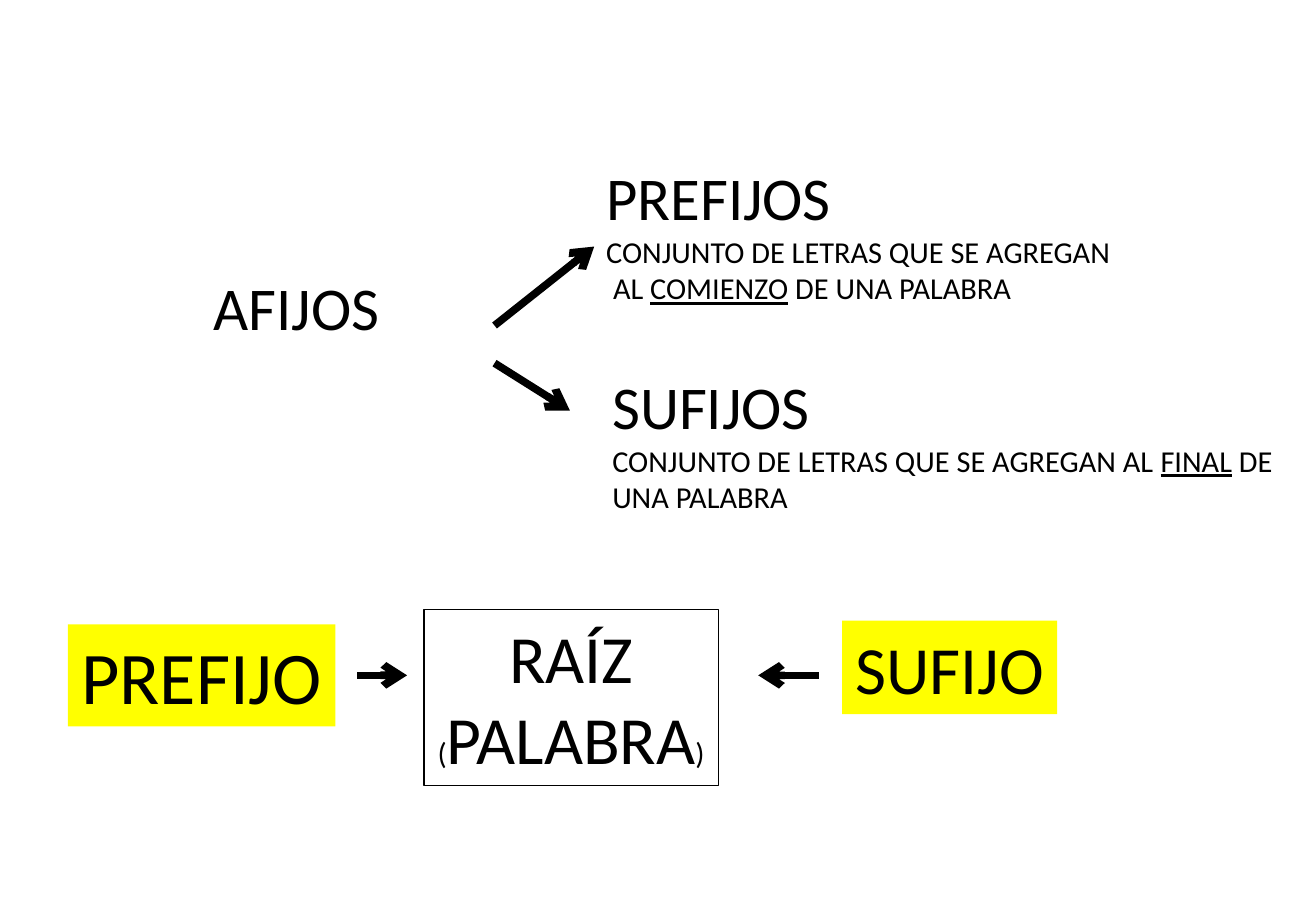
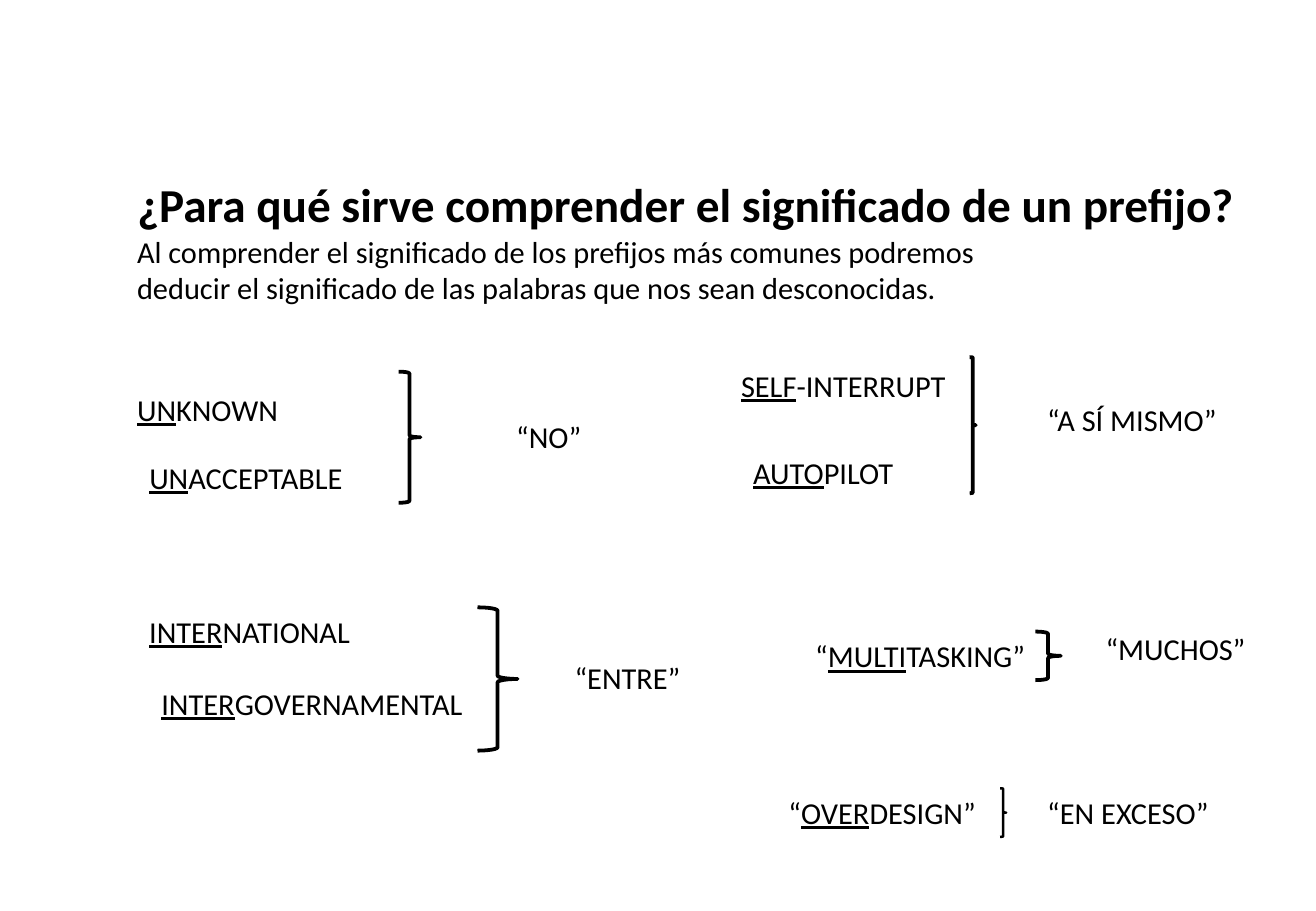
from dataclasses import dataclass

from lxml.etree import SubElement
from pptx import Presentation
from pptx.dml.color import RGBColor
from pptx.enum.shapes import MSO_CONNECTOR as Connector, MSO_SHAPE as Preset
from pptx.enum.text import MSO_ANCHOR as Anchor, MSO_AUTO_SIZE as AutoSize, PP_ALIGN as Align
from pptx.oxml.ns import qn
from pptx.shapes.autoshape import Shape
from pptx.slide import Slide
from pptx.util import Emu, Pt

EMU_PER_PX = 9144
TITLE_ONLY, BLANK = 5, 6


@dataclass(frozen=True)
class Theme:
    font: str = "Calibri"
    ink: RGBColor = RGBColor(0, 0, 0)
    highlight: RGBColor = RGBColor(0xFF, 0xFF, 0)
    affix: int = 44
    root: int = 40
    heading: int = 36
    title: int = 28
    body: int = 18
    arrow: float = 4.5
    brace: float = 2.25
    thin_brace: float = 1.5
    outline: float = 0.75


THEME = Theme()


@dataclass(frozen=True)
class Box:
    left: int
    top: int
    width: int
    height: int = 40

    def emu(self) -> tuple[Emu, ...]:
        return tuple(px(n) for n in (self.left, self.top, self.width, self.height))


@dataclass(frozen=True)
class Span:
    text: str
    size: int
    underlined: bool = False
    bold: bool = False


Line = tuple[Span, ...]


@dataclass(frozen=True)
class Label:
    box: Box
    lines: tuple[Line, ...]
    wrap: bool = False


@dataclass(frozen=True)
class Card:
    label: Label
    highlighted: bool = True


@dataclass(frozen=True)
class Arrow:
    start: tuple[int, int]
    end: tuple[int, int]


@dataclass(frozen=True)
class Brace:
    box: Box
    weight: float = THEME.brace


def px(length: int) -> Emu:
    return Emu(length * EMU_PER_PX)


def marked(text: str, size: int = THEME.body, bold: bool = False) -> Line:
    parts = enumerate(text.split("_"))
    return tuple(Span(part, size, i % 2 == 1, bold) for i, part in parts if part)


def word(left: int, top: int, width: int, text: str, wrap: bool = False) -> Label:
    return Label(Box(left, top, width), (marked(text),), wrap)


def definition(box: Box, heading: str, *explanation: str) -> Label:
    return Label(box, (marked(heading, THEME.heading), *map(marked, explanation)))


def write(shape: Shape, label: Label, align: Align = Align.LEFT) -> None:
    frame = shape.text_frame
    frame.word_wrap = label.wrap
    frame.auto_size = AutoSize.SHAPE_TO_FIT_TEXT
    frame.vertical_anchor = Anchor.TOP
    for i, line in enumerate(label.lines):
        paragraph = frame.add_paragraph() if i else frame.paragraphs[0]
        paragraph.alignment = align
        for span in line:
            run = paragraph.add_run()
            run.text = span.text
            run.font.name = THEME.font
            run.font.size = Pt(span.size)
            run.font.bold = span.bold
            run.font.underline = span.underlined
            run.font.color.rgb = THEME.ink


def draw_label(slide: Slide, label: Label) -> None:
    write(slide.shapes.add_textbox(*label.box.emu()), label)


def draw_title(slide: Slide, label: Label) -> None:
    title = slide.shapes.title
    title.left, title.top, title.width, title.height = label.box.emu()
    write(title, label)


def outline(shape: Shape, weight: float) -> None:
    shape.line.color.rgb = THEME.ink
    shape.line.width = Pt(weight)


def draw_card(slide: Slide, card: Card) -> None:
    shape = slide.shapes.add_shape(Preset.RECTANGLE, *card.label.box.emu())
    shape.shadow.inherit = False
    if card.highlighted:
        shape.fill.solid()
        shape.fill.fore_color.rgb = THEME.highlight
        shape.line.fill.background()
    else:
        shape.fill.background()
        outline(shape, THEME.outline)
    write(shape, card.label, Align.CENTER)


def draw_brace(slide: Slide, brace: Brace) -> None:
    shape = slide.shapes.add_shape(Preset.RIGHT_BRACE, *brace.box.emu())
    shape.shadow.inherit = False
    shape.fill.background()
    outline(shape, brace.weight)


def draw_arrow(slide: Slide, arrow: Arrow) -> None:
    ends = (px(n) for n in (*arrow.start, *arrow.end))
    connector = slide.shapes.add_connector(Connector.STRAIGHT, *ends)
    outline(connector, THEME.arrow)
    SubElement(connector.line._get_or_add_ln(), qn("a:tailEnd"), type="arrow")
    SubElement(connector._element.spPr, qn("a:effectLst"))


AFFIXES = (
    Label(Box(166, 217, 158, 71), (marked("AFIJOS", THEME.heading),)),
    definition(Box(489, 127, 439, 131), "PREFIJOS",
               "CONJUNTO DE LETRAS QUE SE AGREGAN", " AL _COMIENZO_ DE UNA PALABRA"),
    definition(Box(494, 299, 575, 131), "SUFIJOS",
               "CONJUNTO DE LETRAS QUE SE AGREGAN AL _FINAL_ DE", "UNA PALABRA"),
)
WORD_PARTS = (
    Card(Label(Box(56, 514, 220, 84), (marked("PREFIJO", THEME.affix),))),
    Card(Label(Box(349, 502, 242, 145), (
        marked("RAÍZ", THEME.root),
        (Span("(", THEME.body), Span("PALABRA", THEME.root), Span(")", THEME.body)),
    )), highlighted=False),
    Card(Label(Box(693, 511, 177, 77), (marked("SUFIJO", THEME.root),))),
)
ARROWS = (
    Arrow((407, 268), (489, 203)),
    Arrow((407, 299), (469, 338)),
    Arrow((294, 556), (335, 556)),
    Arrow((674, 556), (624, 556)),
)

QUESTION = Label(Box(103, 139, 933, 58), (
    marked("¿Para qué sirve comprender el significado de un prefijo?", THEME.title, True),
))
ANSWER = Label(Box(103, 187, 713, 71), (
    marked("Al comprender el significado de los prefijos más comunes podremos"),
    marked("deducir el significado de las palabras que nos sean desconocidas."),
))
EXAMPLES = (
    word(103, 317, 180, "_UN_KNOWN", wrap=True),
    word(113, 373, 181, "_UN_ACCEPTABLE"),
    word(415, 339, 74, "“NO”"),
    word(600, 297, 190, "_SELF_-INTERRUPT"),
    word(610, 369, 136, "_AUTO_PILOT"),
    word(852, 325, 160, "“A SÍ MISMO”"),
    word(113, 500, 187, "_INTER_NATIONAL"),
    word(123, 559, 270, "_INTER_GOVERNAMENTAL"),
    word(463, 538, 108, "“ENTRE”"),
    word(661, 520, 212, "“_MULTI_TASKING”"),
    word(900, 514, 136, "“MUCHOS”"),
    word(639, 649, 175, "“_OVER_DESIGN”"),
    word(852, 649, 184, "“EN EXCESO”", wrap=True),
)
BRACES = (
    Brace(Box(328, 306, 18, 108)),
    Brace(Box(798, 294, 5, 112)),
    Brace(Box(393, 500, 33, 118)),
    Brace(Box(852, 520, 21)),
    Brace(Box(823, 649, 5), THEME.thin_brace),
)


def main() -> None:
    deck = Presentation()
    deck.slide_width, deck.slide_height = px(1083), px(750)

    affixes = deck.slides.add_slide(deck.slide_layouts[BLANK])
    for label in AFFIXES:
        draw_label(affixes, label)
    for card in WORD_PARTS:
        draw_card(affixes, card)
    for arrow in ARROWS:
        draw_arrow(affixes, arrow)

    prefixes = deck.slides.add_slide(deck.slide_layouts[TITLE_ONLY])
    draw_title(prefixes, QUESTION)
    for label in (ANSWER, *EXAMPLES):
        draw_label(prefixes, label)
    for brace in BRACES:
        draw_brace(prefixes, brace)

    deck.save("out.pptx")


if __name__ == "__main__":
    main()
